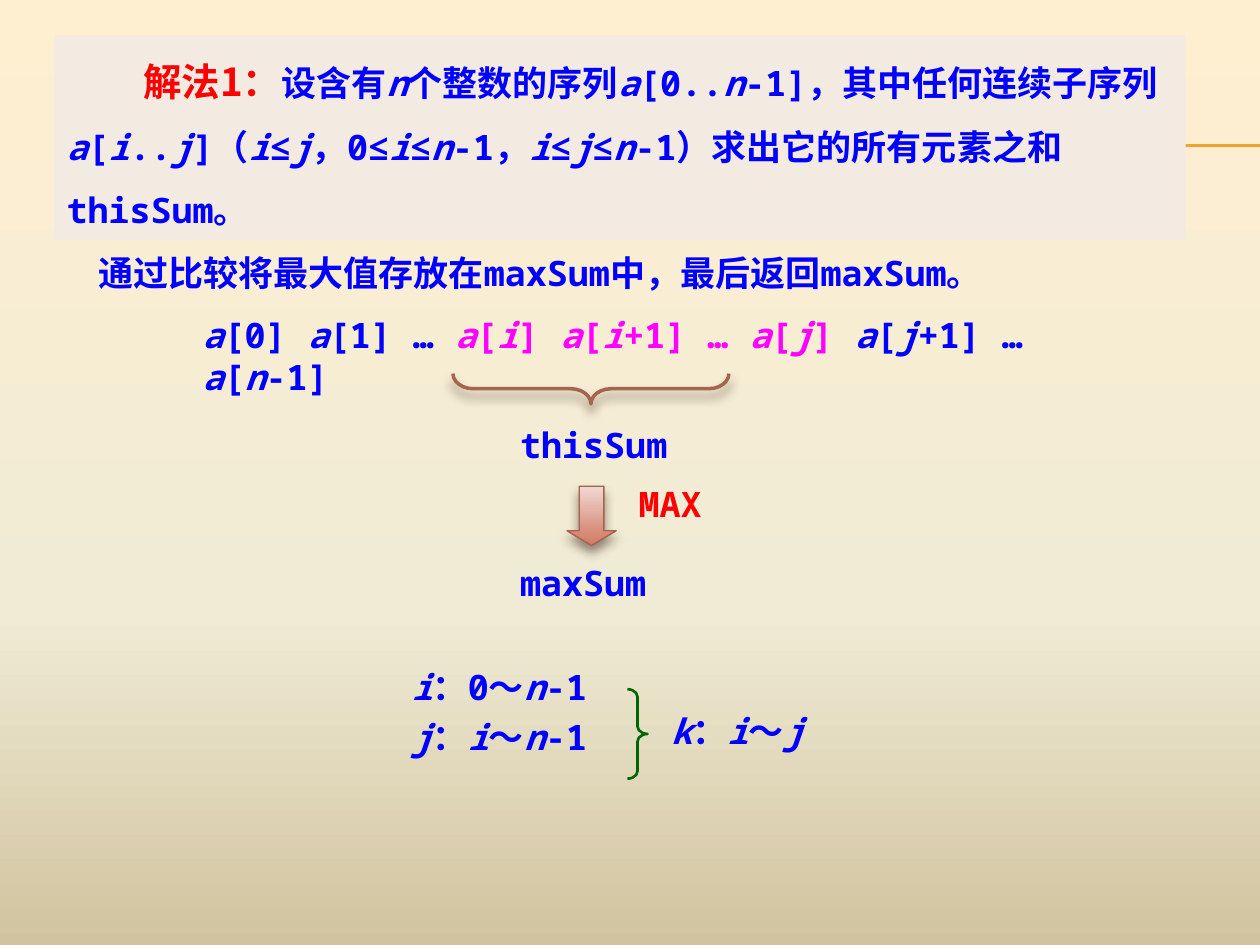
from lxml import etree
from pptx import Presentation
from pptx import util as u
from pptx.dml.color import RGBColor
from pptx.enum import shapes, text
from pptx.oxml import ns

In = u.Inches
BLUE = RGBColor(0x00, 0x00, 0xFF)
RED = RGBColor(0xFF, 0x00, 0x00)
PINK = RGBColor(0xFF, 0x00, 0xFF)
GREEN = RGBColor(0x00, 0x66, 0x00)
BROWN = RGBColor(0xA5, 0x64, 0x4E)
GOLD = RGBColor(0xF0, 0xA2, 0x2E)
PANEL = RGBColor(0xF3, 0xEA, 0xE2)
SHADE = RGBColor(0x4E, 0x3B, 0x30)
SKY = [(0, RGBColor(0xFF, 0xEF, 0xD1)), (65, RGBColor(0xF0, 0xEB, 0xD5)),
       (100, RGBColor(0xD1, 0xC3, 0x9F))]
ROSE = [(0, RGBColor(0xF1, 0xD9, 0xD4)), (72, RGBColor(0xD8, 0x91, 0x80)),
        (100, RGBColor(0xD4, 0x7A, 0x62))]
MONO = "Noto Sans Mono"
HAN = "Noto Sans CJK SC"
KIND = shapes.MSO_SHAPE


def node(parent, tag, **attrs):
    return etree.SubElement(parent, ns.qn(tag), {k: str(v) for k, v in attrs.items()})


def blend(owner, fill, stops):
    fill.gradient()
    fill.gradient_angle = 270
    items = next(owner.iter(ns.qn("a:gsLst")))
    for old in list(items):
        items.remove(old)
    for pos, color in stops:
        stop = node(items, "a:gs", pos=pos * 1000)
        node(stop, "a:srgbClr", val=color)


def cast(shape):
    effects = shape._element.spPr.find(ns.qn("a:effectLst"))
    outer = node(effects, "a:outerShdw", blurRad=u.Pt(6), dist=u.Pt(4),
                 dir=5400000, algn="ctr", rotWithShape=0)
    color = node(outer, "a:srgbClr", val=SHADE)
    node(color, "a:alpha", val=60000)


def draw(slide, kind, box, line=None, width=1, adjust=()):
    shape = slide.shapes.add_shape(kind, *map(In, box))
    shape.shadow.inherit = False
    shape.fill.background()
    for i, value in enumerate(adjust):
        shape.adjustments[i] = value
    if line is None:
        shape.line.fill.background()
    else:
        shape.line.color.rgb = line
        shape.line.width = u.Pt(width)
    return shape


def write(para, markup, color=BLUE, size=20, face=MONO):
    for i, part in enumerate(markup.split("*")):
        if not part:
            continue
        run = para.add_run()
        run.text = part
        style = {"name": face, "size": u.Pt(size), "bold": True, "italic": i % 2 == 1}
        for key, value in style.items():
            setattr(run.font, key, value)
        run.font.color.rgb = color
        node(run._r.get_or_add_rPr(), "a:ea", typeface=HAN)


def label(slide, box, *lines, color=BLUE):
    frame = slide.shapes.add_textbox(*map(In, box)).text_frame
    frame.word_wrap = True
    for i, line in enumerate(lines):
        para = frame.add_paragraph() if i else frame.paragraphs[0]
        if i:
            para.space_before = u.Pt(5)
        for piece, tint in ([(line, color)] if isinstance(line, str) else line):
            write(para, piece, tint)


def rule(slide, x, y, end):
    for top in (y, y + 0.01):
        line = slide.shapes.add_connector(
            shapes.MSO_CONNECTOR.STRAIGHT, In(x), In(top), In(end), In(top))
        line.line.color.rgb = GOLD
        line.line.width = u.Pt(0.75)
        node(line._element.spPr, "a:effectLst")


def intro(slide, box):
    panel = draw(slide, KIND.RECTANGLE, box)
    panel.fill.solid()
    panel.fill.fore_color.rgb = PANEL
    frame = panel.text_frame
    frame.word_wrap = True
    frame.vertical_anchor = text.MSO_ANCHOR.TOP
    first, last = frame.paragraphs[0], frame.add_paragraph()
    for para, indent in ((first, 0.61), (last, 0.25)):
        para.alignment = text.PP_ALIGN.LEFT
        para.line_spacing = u.Pt(36)
        para._p.get_or_add_pPr().set("indent", str(In(indent)))
    write(first, "解法1：", RED, 22, HAN)
    write(first, "设含有*n*个整数的序列*a*[0..*n*-1]，其中任何连续子序列*a*[*i*..*j*]"
                 "（*i*≤*j*，0≤*i*≤*n*-1，*i*≤*j*≤*n*-1）求出它的所有元素之和thisSum。")
    write(last, "通过比较将最大值存放在maxSum中，最后返回maxSum。")


def series(slide, x, y, w, h):
    label(slide, (x, y, w, h), [
        ("*a*[0] *a*[1] … ", BLUE),
        ("*a*[*i*] *a*[*i*+1] … *a*[*j*] ", PINK),
        ("*a*[*j*+1] … *a*[*n*-1]", BLUE)])
    brace = draw(slide, KIND.LEFT_BRACE, (x + 3.06, y - 0.45, 0.24, 2.19),
                 BROWN, 2, (0.667, 0.5))
    brace.rotation = 270
    cast(brace)
    label(slide, (x + 2.52, y + 0.87, 1.65, h), "thisSum")


def result(slide, x, y, w, h):
    arrow = draw(slide, KIND.DOWN_ARROW, (x + 0.47, y + 0.08, 0.39, 0.47),
                 BROWN, 0.79, (0.5, 0.3))
    blend(arrow._element, arrow.fill, ROSE)
    cast(arrow)
    label(slide, (x, y + 0.63, w, h), "maxSum")
    label(slide, (x + 0.94, y, 1.02, h), "MAX", color=RED)


def ranges(slide, x, y, w, h):
    label(slide, (x, y, w, h), "*i*：0～*n*-1", "*j*：*i*～*n*-1")
    draw(slide, KIND.RIGHT_BRACE, (x + 1.81, y + 0.24, 0.16, 0.71),
         GREEN, 1.5, (0.374, 0.5))
    label(slide, (x + 2.06, y + 0.35, 1.73, 0.44), "*k*：*i*～*j*")


def main():
    deck = Presentation()
    deck.slide_width, deck.slide_height = In(10), In(7.5)
    slide = deck.slides.add_slide(deck.slide_layouts[6])
    blend(slide._element, slide.background.fill, SKY)
    rule(slide, 0.56, 1.15, 10)
    intro(slide, (0.43, 0.28, 8.98, 1.62))
    series(slide, 1.51, 2.44, 7.4, 0.44)
    result(slide, 4.03, 3.78, 1.81, 0.44)
    ranges(slide, 3.17, 5.23, 1.89, 0.94)
    deck.save("out.pptx")


if __name__ == "__main__":
    main()
